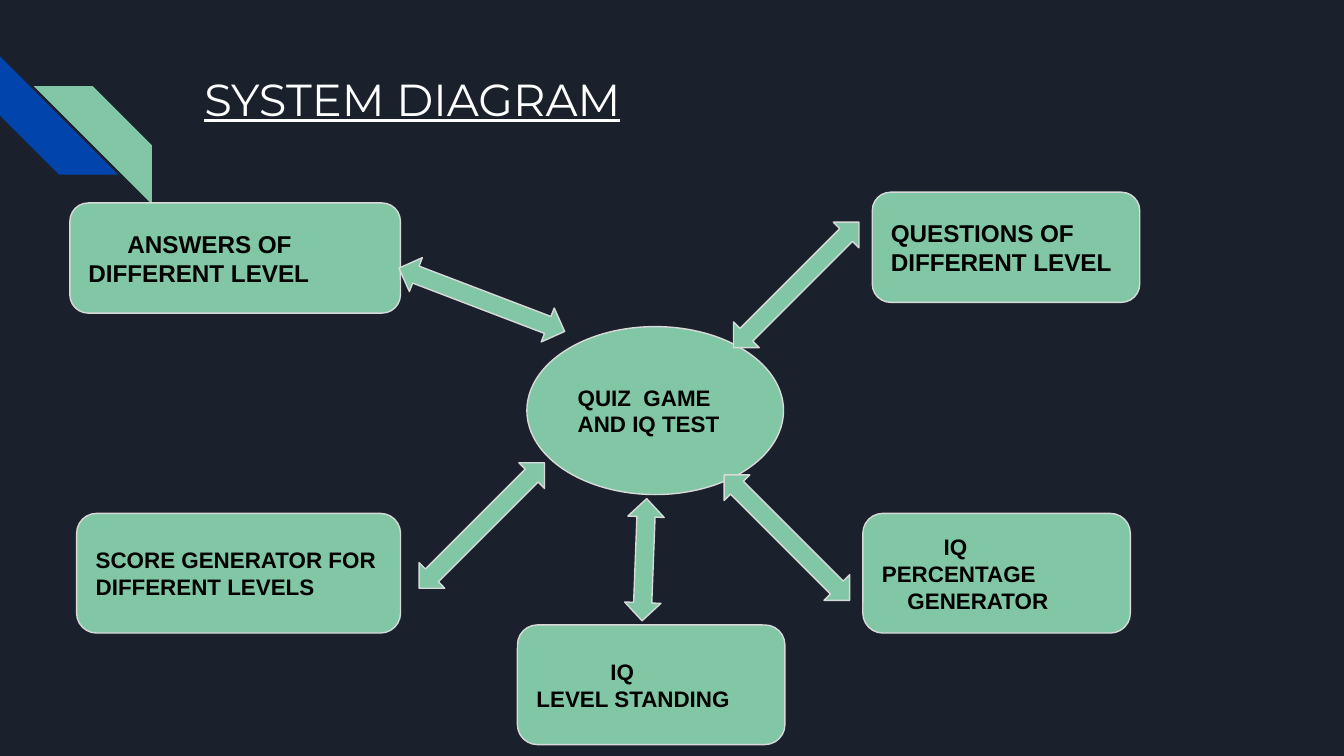
from dataclasses import dataclass

from pptx import Presentation
from pptx.dml.color import RGBColor
from pptx.enum.shapes import MSO_SHAPE as SHAPE
from pptx.enum.text import MSO_ANCHOR as ANCHOR, MSO_AUTO_SIZE as AUTO, PP_ALIGN as ALIGN
from pptx.util import Inches, Pt


@dataclass(frozen=True)
class Theme:
    bg: RGBColor = RGBColor.from_string("1B212C")
    green: RGBColor = RGBColor.from_string("82C7A5")
    blue: RGBColor = RGBColor.from_string("0145AC")
    outline: RGBColor = RGBColor.from_string("D9D9D9")
    white: RGBColor = RGBColor.from_string("FFFFFF")
    black: RGBColor = RGBColor.from_string("000000")
    title_font: str = "Montserrat"
    body_font: str = "Arial"
    title_size: int = 24
    large: int = 13
    small: int = 12


THEME = Theme()
BOX = SHAPE.FLOWCHART_ALTERNATE_PROCESS

# Kind, box, text size, paragraphs as (text, first-line indent)
NODES = [
    (SHAPE.OVAL, (3.92, 2.43, 1.91, 1.25), THEME.small,
     [("QUIZ  GAME", 0), ("AND IQ TEST", 0)]),
    (BOX, (6.49, 1.43, 1.99, 0.82), THEME.large,
     [("QUESTIONS OF", 0), ("DIFFERENT LEVEL", 0)]),
    (BOX, (0.52, 1.51, 2.46, 0.82), THEME.large,
     [("ANSWERS OF DIFFERENT LEVEL", 0.29)]),
    (BOX, (0.57, 3.82, 2.41, 0.89), THEME.small,
     [("SCORE GENERATOR FOR DIFFERENT LEVELS", 0)]),
    (BOX, (6.42, 3.82, 1.99, 0.89), THEME.small,
     [("IQ PERCENTAGE", 0.46), ("GENERATOR", 0.19)]),
    (BOX, (3.85, 4.65, 1.99, 0.89), THEME.small,
     [("IQ", 0.55), ("LEVEL STANDING", 0)]),
]

# Left, top, length, rotation
ARROWS = [
    (5.79, 1.46, 1.32, 45),
    (3.45, 3.25, 1.32, 45),
    (5.72, 3.34, 1.32, 315),
    (3.45, 1.57, 1.32, 290.9),
    (4.66, 3.71, 0.91, 2.2),
]
ARROW_WIDTH = 0.27


def add_filled(slide, kind, box, fill, outline=None):
    sp = slide.shapes.add_shape(kind, *map(Inches, box))
    sp.shadow.inherit = False
    sp.fill.solid()
    sp.fill.fore_color.rgb = fill
    if outline is None:
        sp.line.fill.background()
    else:
        sp.line.color.rgb = outline
        sp.line.width = Pt(0.75)
    return sp


def set_frame(tf, anchor):
    tf.word_wrap = True
    tf.auto_size = AUTO.NONE
    tf.vertical_anchor = anchor
    tf.margin_left = tf.margin_right = tf.margin_top = tf.margin_bottom = Inches(0.1)


def style_paragraph(p, font, size, color, bold=False, underline=False):
    p.alignment = ALIGN.LEFT
    for r in p.runs:
        r.font.name = font
        r.font.size = Pt(size)
        r.font.color.rgb = color
        r.font.bold = bold
        r.font.underline = underline


def add_corner(slide, left, top, size):
    """Two diagonal stripes, the green one offset from the blue one."""
    blue = add_filled(slide, SHAPE.DIAGONAL_STRIPE, (left, top, size, size), THEME.blue)
    blue.rotation = 270
    green = add_filled(slide, SHAPE.DIAGONAL_STRIPE,
                       (left + 0.25, top + 0.22, size, size), THEME.green)
    green._element.spPr.xfrm.set("flipH", "1")


def add_title(slide, text, box):
    sp = slide.shapes.title
    sp.left, sp.top, sp.width, sp.height = map(Inches, box)
    tf = sp.text_frame
    tf.text = text
    set_frame(tf, ANCHOR.TOP)
    style_paragraph(tf.paragraphs[0], THEME.title_font, THEME.title_size,
                    THEME.white, underline=True)


def add_node(slide, kind, box, size, lines):
    sp = add_filled(slide, kind, box, THEME.green, THEME.outline)
    tf = sp.text_frame
    tf.text = "\n".join(text for text, _ in lines)
    set_frame(tf, ANCHOR.MIDDLE)
    for p, (_, indent) in zip(tf.paragraphs, lines):
        style_paragraph(p, THEME.body_font, size, THEME.black, bold=True)
        p._p.get_or_add_pPr().set("indent", str(Inches(indent)))


def add_arrow(slide, left, top, length, rotation):
    sp = add_filled(slide, SHAPE.UP_DOWN_ARROW, (left, top, ARROW_WIDTH, length),
                    THEME.green, THEME.outline)
    sp.adjustments[0] = sp.adjustments[1] = 0.5
    sp.rotation = rotation


def main():
    prs = Presentation()
    prs.slide_width = Inches(10)
    prs.slide_height = prs.slide_width * 9 // 16
    slide = prs.slides.add_slide(prs.slide_layouts[5])
    slide.background.fill.solid()
    slide.background.fill.fore_color.rgb = THEME.bg

    # Heading
    add_corner(slide, 0, 0.42, 0.88)
    add_title(slide, "SYSTEM DIAGRAM", (1.42, 0.43, 7.7, 1))

    # Diagram: hub and modules, then the arrows between them
    for node in NODES:
        add_node(slide, *node)
    for arrow in ARROWS:
        add_arrow(slide, *arrow)

    prs.save("out.pptx")


if __name__ == "__main__":
    main()
